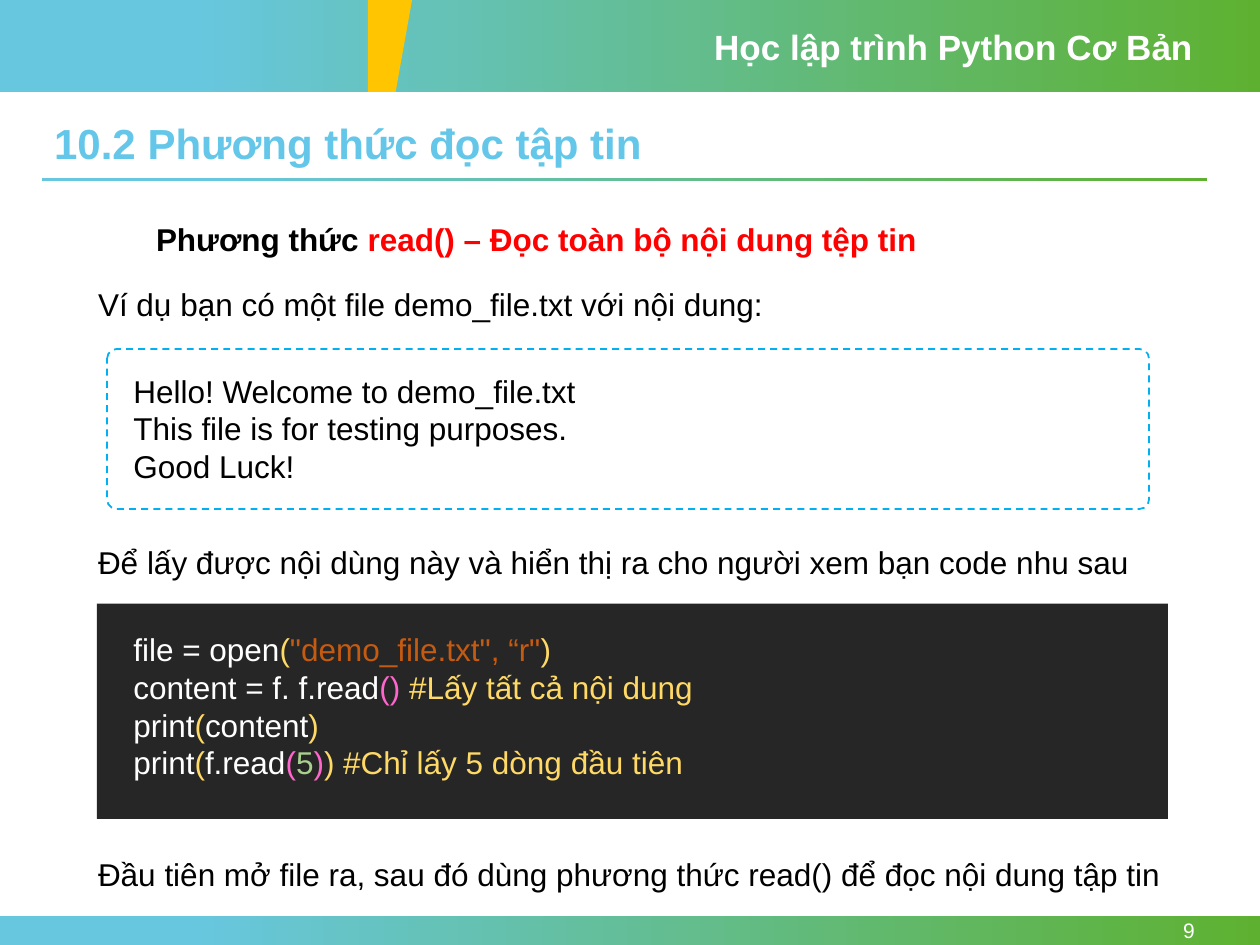
from pptx import Presentation
from pptx.dml.color import RGBColor
from pptx.enum.dml import MSO_LINE
from pptx.enum.shapes import MSO_SHAPE
from pptx.enum.text import MSO_ANCHOR, PP_ALIGN
from pptx.util import Inches, Pt

RECT, ROUND = MSO_SHAPE.RECTANGLE, MSO_SHAPE.ROUNDED_RECTANGLE
TOP, MIDDLE = MSO_ANCHOR.TOP, MSO_ANCHOR.MIDDLE
LEFT, RIGHT = PP_ALIGN.LEFT, PP_ALIGN.RIGHT
DASH = MSO_LINE.DASH

C = {
    "white": "FFFFFF", "black": "000000", "red": "FF0000",
    "sky": "67C7DF", "green": "5EB130", "amber": "FFC500",
    "title": "64C7E9", "border": "00B0F0", "panel": "262626",
    "yellow": "FFD966", "orange": "C55A11", "pink": "FF66CC", "lime": "A9D18E",
}

W, H = 10, 7.5
HEADER_H, FOOTER_H = 0.73, 0.23
MARGIN, RULE_W = 0.33, 9.25
TEXT_X, INNER_X, LINE_H = 0.68, 0.96, 0.4

HEADER = "Học lập trình Python Cơ Bản"
TITLE = "10.2 Phương thức đọc tập tin"
PAGE = "9"
HEADING = [[("Phương thức ", "black"),
            ("read() – Đọc toàn bộ nội dung tệp tin", "red")]]
NOTES = [
    (2.21, 8.57, "Ví dụ bạn có một file demo_file.txt với nội dung:"),
    (4.26, 8.57, "Để lấy được nội dùng này và hiển thị ra cho người xem bạn code nhu sau"),
    (6.74, 8.77, "Đầu tiên mở file ra, sau đó dùng phương thức read() để đọc nội dung tập tin"),
]
FILE_TEXT = "Hello! Welcome to demo_file.txt\nThis file is for testing purposes.\nGood Luck!"
CODE = [
    [("file = open", "white"), ("(", "yellow"),
     ('"demo_file.txt", “r"', "orange"), (")", "yellow")],
    [("content = f. f.read", "white"), ("()", "pink"),
     (" #Lấy tất cả nội dung", "yellow")],
    [("print", "white"), ("(", "yellow"), ("content", "white"), (")", "yellow")],
    [("print", "white"), ("(", "yellow"), ("f.read", "white"), ("(", "pink"),
     ("5", "lime"), (")", "pink"), (") #Chỉ lấy 5 dòng đầu tiên", "yellow")],
]

prs = Presentation()
prs.slide_width, prs.slide_height = Inches(W), Inches(H)
slide = prs.slides.add_slide(prs.slide_layouts[5])
shapes = slide.shapes


def rgb(name):
    return RGBColor.from_string(C[name])


def inches(*values):
    return [Inches(v) for v in values]


def write(tf, content, size=18, color="black", bold=False, align=LEFT,
          anchor=TOP, spacing=None):
    tf.word_wrap = True
    tf.vertical_anchor = anchor
    paragraphs = [[(content, color)]] if isinstance(content, str) else content
    for i, runs in enumerate(paragraphs):
        p = tf.add_paragraph() if i else tf.paragraphs[0]
        p.alignment = align
        if spacing:
            p.line_spacing = spacing
        for text, tone in runs:
            for j, line in enumerate(text.split("\n")):
                if j:
                    p.add_line_break()
                r = p.add_run()
                r.text = line
                r.font.name, r.font.size, r.font.bold = "Arial", Pt(size), bold
                r.font.color.rgb = rgb(tone)


def add_text(x, y, w, h, content, **fmt):
    write(shapes.add_textbox(*inches(x, y, w, h)).text_frame, content, **fmt)


def add_panel(kind, x, y, w, h, fill):
    sp = shapes.add_shape(kind, *inches(x, y, w, h))
    sp.shadow.inherit = False
    sp.fill.solid()
    sp.fill.fore_color.rgb = rgb(fill)
    sp.line.fill.background()
    return sp


def add_band(x, y, w, h):
    fill = add_panel(RECT, x, y, w, h, "sky").fill
    fill.gradient()
    fill.gradient_angle = 0
    for stop, position, color in zip(fill.gradient_stops, (0.15, 1), ("sky", "green")):
        stop.position = position
        stop.color.rgb = rgb(color)


add_band(0, 0, W, HEADER_H)
add_band(0, H - FOOTER_H, W, FOOTER_H)
add_text(5.57, 0.15, 4, 0.44, HEADER, size=20, color="white", bold=True)
add_band(MARGIN, 1.41, RULE_W, 0.03)

builder = shapes.build_freeform(Inches(2.92), 0)
builder.add_line_segments(
    [inches(*pt) for pt in ((3.27, 0), (3.14, HEADER_H), (2.92, HEADER_H))])
wedge = builder.convert_to_shape()
wedge.shadow.inherit = False
wedge.fill.solid()
wedge.fill.fore_color.rgb = rgb("amber")
wedge.line.fill.background()

add_text(8.66, H - FOOTER_H, 0.92, FOOTER_H, PAGE, size=12, color="white",
         align=RIGHT, anchor=MIDDLE)

title = shapes.title
title.left, title.top, title.width, title.height = inches(MARGIN, 0.93, RULE_W, 0.46)
write(title.text_frame, TITLE, size=24, color="title", bold=True, spacing=0.9)

add_panel(RECT, 0.77, 4.79, 8.5, 1.71, "panel")
add_text(INNER_X, 4.95, 8.1, 1.31, CODE)
add_text(1.14, 1.7, 7.03, LINE_H, HEADING, bold=True)

frame = add_panel(ROUND, 0.85, 2.77, 8.27, 1.27, "white")
frame.adjustments[0] = 0.06
frame.line.color.rgb = rgb("border")
frame.line.width = Pt(1)
frame.line.dash_style = DASH
add_text(INNER_X, 2.9, 6.05, 1.01, FILE_TEXT)

for y, w, text in NOTES:
    add_text(TEXT_X, y, w, LINE_H, text)

prs.save("out.pptx")
